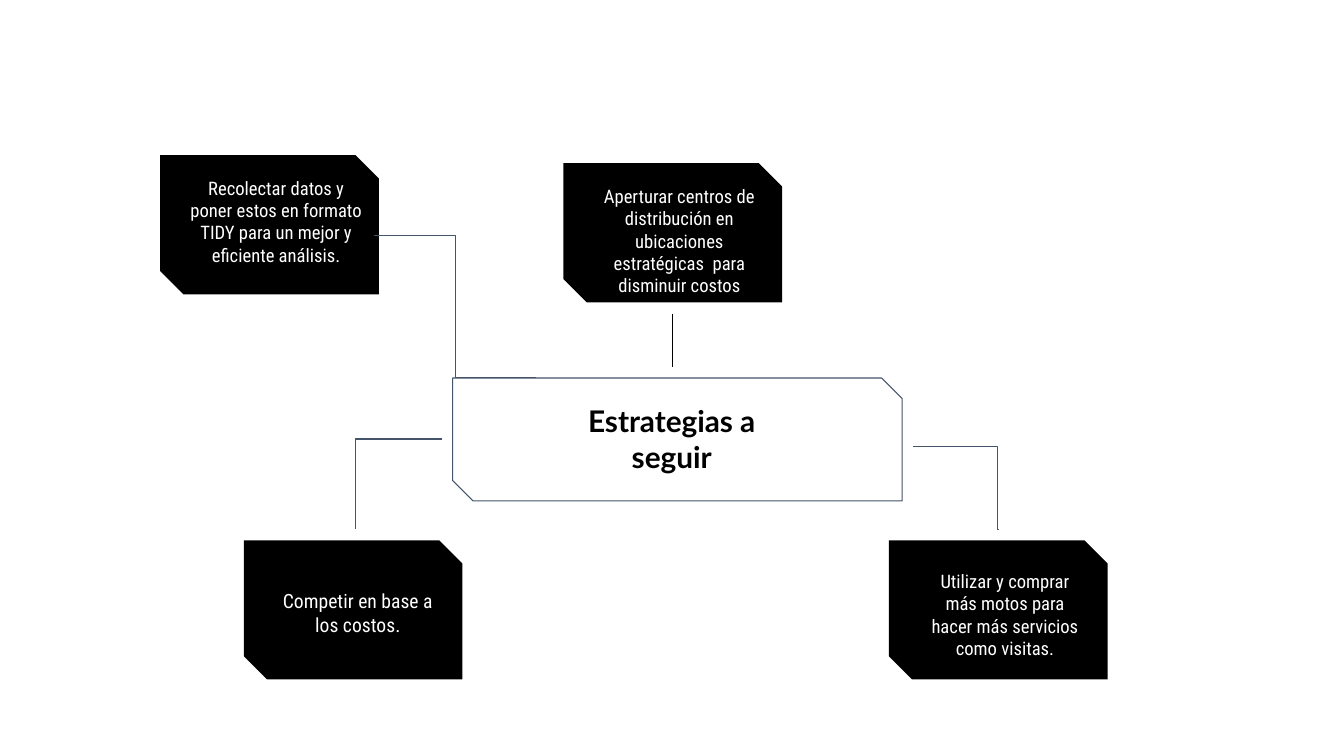
from lxml.etree import SubElement
from pptx import Presentation
from pptx.dml.color import RGBColor
from pptx.enum.shapes import MSO_CONNECTOR, MSO_SHAPE
from pptx.enum.text import MSO_ANCHOR, PP_ALIGN
from pptx.oxml.ns import qn
from pptx.util import Pt

BLACK = RGBColor(0, 0, 0)
WHITE = RGBColor(255, 255, 255)
SLATE = RGBColor(0x44, 0x54, 0x6A)

deck = Presentation()
deck.slide_width, deck.slide_height = Pt(960), Pt(540)
slide = deck.slides.add_slide(deck.slide_layouts[6])
shapes = slide.shapes


def add_text(text, box, size=13.3, font="Roboto Condensed", color=WHITE,
             bold=False, anchor=MSO_ANCHOR.TOP):
    frame = shapes.add_textbox(*map(Pt, box)).text_frame
    frame.word_wrap = True
    frame.vertical_anchor = anchor
    frame.margin_left = frame.margin_right = Pt(9.6)
    frame.margin_top = frame.margin_bottom = Pt(9.6)
    para = frame.paragraphs[0]
    para.alignment = PP_ALIGN.CENTER
    run = para.add_run()
    run.text = text
    run.font.size, run.font.name, run.font.bold = Pt(size), font, bold
    run.font.color.rgb = color


def add_snip(left, top, width, height):
    snip = shapes.add_shape(MSO_SHAPE.SNIP_2_DIAG_RECTANGLE,
                            Pt(left), Pt(top), Pt(width), Pt(height))
    snip.shadow.inherit = False
    snip.adjustments[0], snip.adjustments[1] = 0, 0.167
    return snip


# Strategy cards: left, top, text box, text size, text
cards = [
    (174.2, 385.9, (187.9, 411.1, 135.4, 65.5), 14,
     "Competir en base a los costos."),
    (635, 385.9, (650.2, 397.4, 135.4, 65.5), 13.3,
     "Utilizar y comprar más motos para hacer más servicios como visitas."),
    (402.5, 116.6, (412.6, 122.4, 145.4, 102.2), 13.3,
     "Aperturar centros de distribución en ubicaciones estratégicas  para "
     "disminuir costos"),
    (114.5, 110.9, (124.6, 116.6, 145.4, 102.2), 13.3,
     "Recolectar datos y poner estos en formato TIDY para un mejor y "
     "eficiente análisis."),
]
for left, top, box, size, text in cards:
    card = add_snip(left, top, 156.2, 99.4)
    card.fill.solid()
    card.fill.fore_color.rgb = BLACK
    card.line.fill.background()
    add_text(text, box, size=size)

# Central topic
hub = add_snip(323.3, 270, 321.1, 87.8)
hub.fill.background()
hub.line.color.rgb, hub.line.width = SLATE, Pt(0.75)
add_text("Estrategias a seguir", (404.6, 307.4, 150.5, 41), size=21.3,
         font="Lato", color=BLACK, bold=True, anchor=MSO_ANCHOR.BOTTOM)

# Links between topic and cards: kind, ends, colour, place of the bend
links = [
    (MSO_CONNECTOR.CURVE, (480.2, 224.2, 480.2, 262.4), BLACK, 50000),
    (MSO_CONNECTOR.ELBOW, (315.4, 313.6, 254.2, 378), SLATE, 100000),
    (MSO_CONNECTOR.ELBOW, (652.3, 319, 712.8, 378), SLATE, 99700),
    (MSO_CONNECTOR.ELBOW, (383, 270, 267.1, 168.5), SLATE, 50000),
]
for kind, ends, color, bend in links:
    link = shapes.add_connector(kind, *map(Pt, ends))
    link.line.color.rgb, link.line.width = color, Pt(0.75)
    props = link._element.spPr
    SubElement(props, qn("a:effectLst"))
    SubElement(props.find(".//" + qn("a:avLst")), qn("a:gd"),
               name="adj1", fmla=f"val {bend}")

deck.save("out.pptx")
